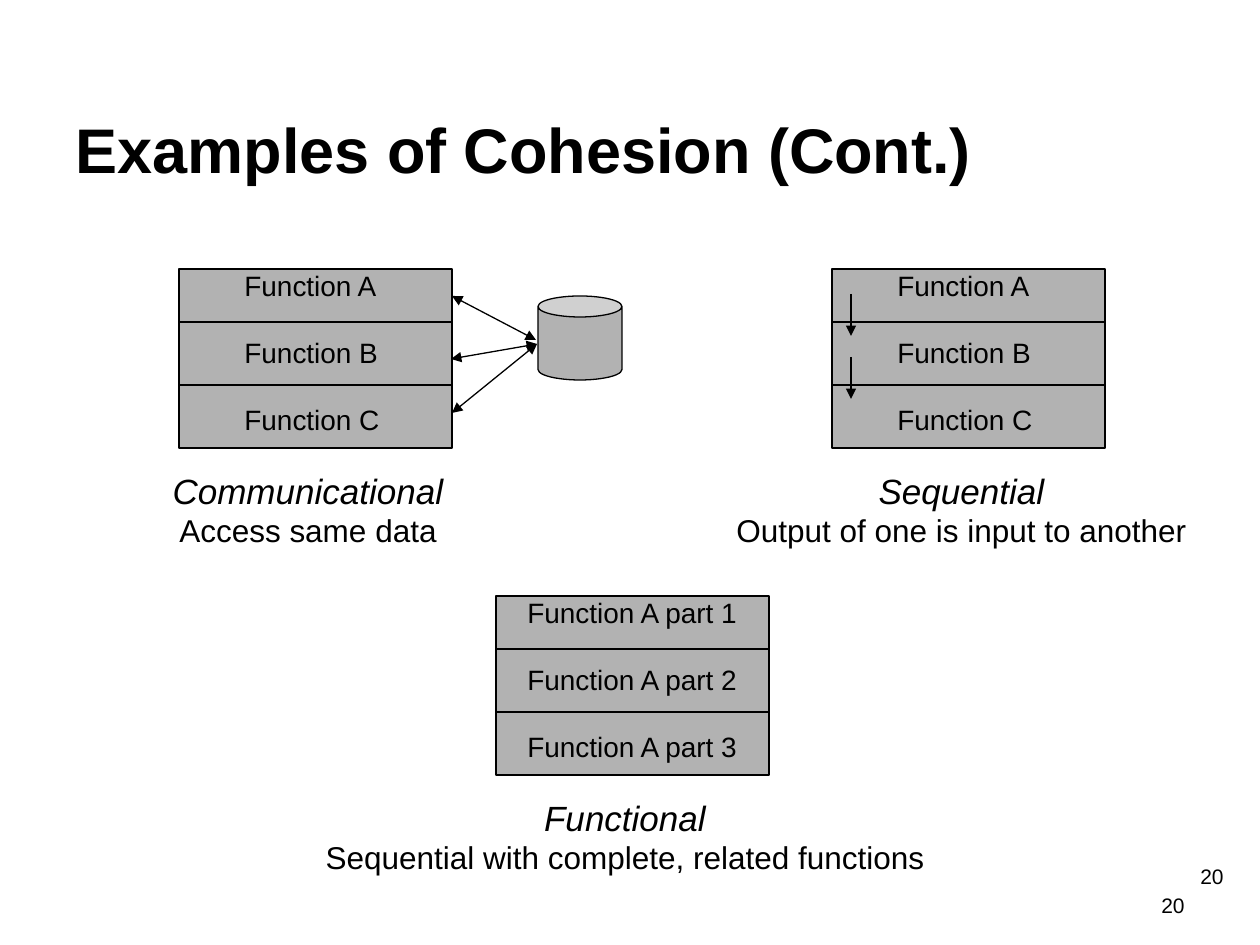
from lxml import etree
from pptx import Presentation
from pptx import util as u
from pptx.dml.color import RGBColor
from pptx.enum import shapes, text
from pptx.oxml.ns import qn

EMU_PER_PX = 914400 / 126
BLACK = RGBColor(0, 0, 0)
GREY = RGBColor(0xB2, 0xB2, 0xB2)
FONT = "Arial"

BLOCK_WIDTH, BLOCK_HEIGHT = 273, 179
DIVIDERS = (53, 116)
FUNCTIONS = ("Function A", "Function B", "Function C")
PARTS = ("Function A part 1", "Function A part 2", "Function A part 3")


def px(*lengths):
    return [u.Emu(round(length * EMU_PER_PX)) for length in lengths]


def write(frame, lines, sizes, align=text.PP_ALIGN.LEFT, gap=0, bold=False,
          italic_first=False, wrap=True, anchor=text.MSO_ANCHOR.TOP):
    """Fill a text frame with one paragraph per line."""
    frame.word_wrap = wrap
    frame.vertical_anchor = anchor
    for index, (line, size) in enumerate(zip(lines, sizes)):
        paragraph = frame.paragraphs[0] if index == 0 else frame.add_paragraph()
        paragraph.alignment = align
        paragraph.line_spacing = u.Pt(round(size * 1.2, 1))
        paragraph.space_before = u.Pt(gap if index else 0)
        run = paragraph.add_run()
        run.text = line
        run.font.name = FONT
        run.font.size = u.Pt(size)
        run.font.bold = bold
        run.font.italic = italic_first and index == 0
        run.font.color.rgb = BLACK


def add_text(slide, box, lines, sizes, **style):
    write(slide.shapes.add_textbox(*px(*box)).text_frame, lines, sizes, **style)


def add_solid(slide, kind, box):
    solid = slide.shapes.add_shape(kind, *px(*box))
    solid.shadow.inherit = False
    solid.fill.solid()
    solid.fill.fore_color.rgb = GREY
    solid.line.color.rgb = BLACK
    solid.line.width = u.Pt(0.75)


def add_line(slide, start, end, arrows=()):
    """Draw a straight line; arrows lists the ends that carry a triangle."""
    line = slide.shapes.add_connector(
        shapes.MSO_CONNECTOR.STRAIGHT, *px(*start, *end))
    line.line.color.rgb = BLACK
    line.line.width = u.Pt(0.75)
    for end_name in arrows:
        etree.SubElement(line.line._get_or_add_ln(), qn(f"a:{end_name}"), type="triangle")
    etree.SubElement(line._element.spPr, qn("a:effectLst"))


def add_module(slide, left, top, functions, indent, list_width, caption, caption_width):
    """Draw a three-part module with its function list and caption."""
    add_solid(slide, shapes.MSO_SHAPE.RECTANGLE, (left, top, BLOCK_WIDTH, BLOCK_HEIGHT))
    for offset in DIVIDERS:
        add_line(slide, (left, top + offset), (left + BLOCK_WIDTH, top + offset))
    add_text(slide, (left + indent, top - 7, list_width, 181), functions,
             (16, 16, 16), gap=19.2, wrap=False)
    caption_left = left + (BLOCK_WIDTH - caption_width) // 2 - 7
    add_text(slide, (caption_left, top + 194, caption_width, 93), caption, (20, 18),
             align=text.PP_ALIGN.CENTER, italic_first=True, wrap=False)


def main():
    presentation = Presentation()
    presentation.slide_width, presentation.slide_height = px(1260, 945)
    slide = presentation.slides.add_slide(presentation.slide_layouts[5])

    # Title
    title = slide.shapes.title
    title.left, title.top, title.width, title.height = px(63, 63, 1134, 171)
    write(title.text_frame, ["Examples of Cohesion (Cont.)"], [36], bold=True,
          anchor=text.MSO_ANCHOR.MIDDLE)

    # Modules
    add_module(slide, 496, 596, PARTS, 19, 238,
               ("Functional", "Sequential with complete, related functions"), 624)
    add_module(slide, 179, 269, FUNCTIONS, 53, 160,
               ("Communicational", "Access same data"), 296)
    add_module(slide, 832, 269, FUNCTIONS, 53, 160,
               ("Sequential", "Output of one is input to another"), 475)

    # Shared data store and its access arrows
    add_solid(slide, shapes.MSO_SHAPE.CAN, (538, 296, 84, 84))
    for function_end, store_end in (((451, 359), (537, 344)),
                                    ((452, 296), (536, 340)),
                                    ((452, 413), (537, 344))):
        add_line(slide, function_end, store_end, ("headEnd", "tailEnd"))

    # Sequential flow from each function to the next
    for flow_top in (294, 357):
        add_line(slide, (851, flow_top), (851, flow_top + 42), ("tailEnd",))

    # Page numbers
    for box, anchor in (((974, 857, 262, 63), text.MSO_ANCHOR.TOP),
                        ((903, 861, 294, 63), text.MSO_ANCHOR.BOTTOM)):
        add_text(slide, box, ["20"], [12], align=text.PP_ALIGN.RIGHT, anchor=anchor)

    presentation.save("out.pptx")


if __name__ == "__main__":
    main()
